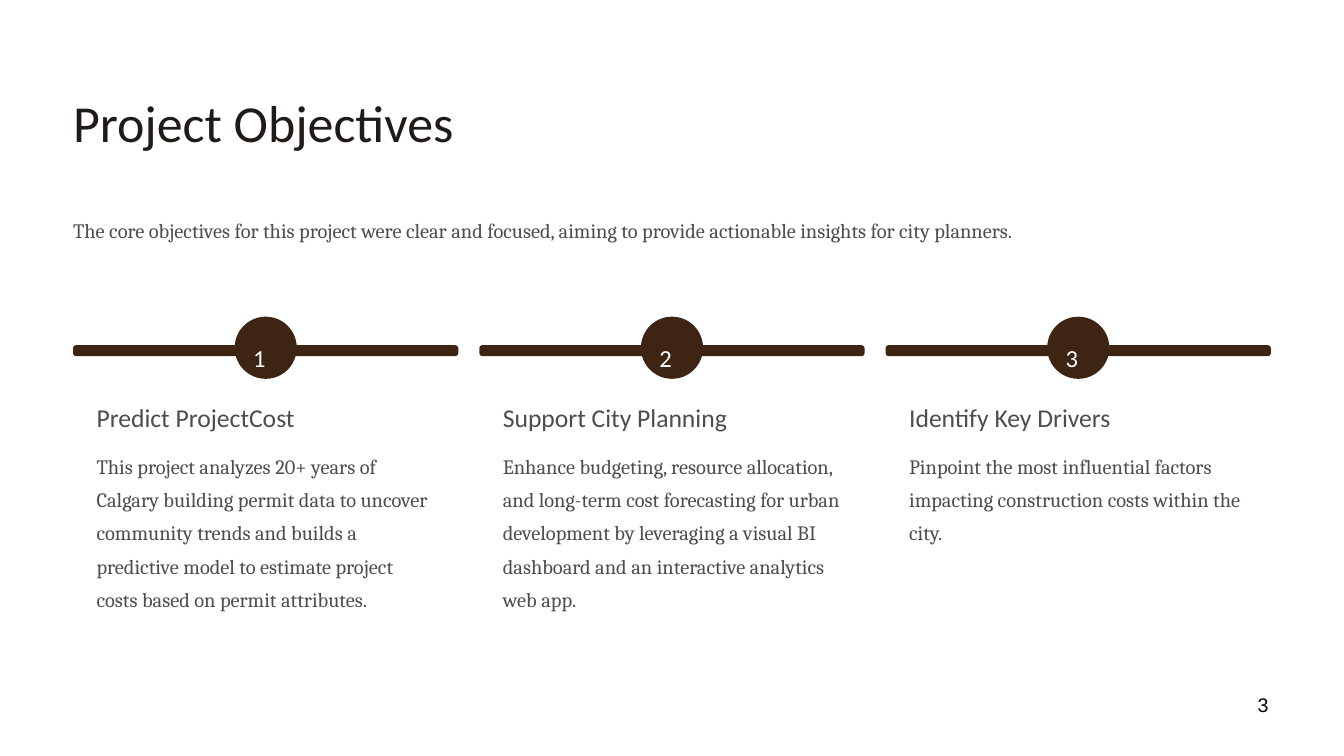
import pptx
import pptx.util
import pptx.dml.color
import pptx.enum.shapes
import pptx.enum.text

TITLE = "Project Objectives"
INTRO = ("The core objectives for this project were clear and focused, "
         "aiming to provide actionable insights for city planners.")
OBJECTIVES = [
    ("Predict ProjectCost",
     "This project analyzes 20+ years of Calgary building permit data to uncover "
     "community trends and builds a predictive model to estimate project costs "
     "based on permit attributes."),
    ("Support City Planning",
     "Enhance budgeting, resource allocation, and long-term cost forecasting for "
     "urban development by leveraging a visual BI dashboard and an interactive "
     "analytics web app."),
    ("Identify Key Drivers",
     "Pinpoint the most influential factors impacting construction costs within "
     "the city."),
]
PAGE_NUMBER = "3"

BROWN, DARK, GREY, WHITE, BLACK = "3E2513", "201B18", "504C49", "FFFFFF", "000000"
HEADING_FONT, BODY_FONT, NUMBER_FONT = "Calibri", "Cambria", "Arial"

WIDTH, HEIGHT = 16, 9
MARGIN = 0.87
CONTENT_WIDTH = WIDTH - 2 * MARGIN
GUTTER = 0.25
COLUMN_WIDTH = (CONTENT_WIDTH - GUTTER * (len(OBJECTIVES) - 1)) / len(OBJECTIVES)
PADDING = 0.28
TEXT_WIDTH = COLUMN_WIDTH - 2 * PADDING
BAR_TOP, BAR_HEIGHT = 4.11, 0.13
BADGE_TOP, BADGE_SIZE = 3.77, 0.74
DIGIT_WIDTH = 0.3

presentation = pptx.Presentation()
presentation.slide_width = pptx.util.Inches(WIDTH)
presentation.slide_height = pptx.util.Inches(HEIGHT)
slide = presentation.slides.add_slide(presentation.slide_layouts[6])


def color(value):
    return pptx.dml.color.RGBColor.from_string(value)


def box(left, top, width, height):
    return [pptx.util.Inches(length) for length in (left, top, width, height)]


def add_text(text, place, size, font, fill, spacing=None, inset=0, align="LEFT"):
    frame = slide.shapes.add_textbox(*box(*place)).text_frame
    frame.word_wrap = True
    frame.margin_left = frame.margin_right = pptx.util.Inches(inset)
    frame.margin_top = frame.margin_bottom = pptx.util.Inches(inset / 2)
    paragraph = frame.paragraphs[0]
    paragraph.text = text
    paragraph.alignment = pptx.enum.text.PP_ALIGN[align]
    if spacing:
        paragraph.line_spacing = pptx.util.Pt(spacing)
    paragraph.font.size = pptx.util.Pt(size)
    paragraph.font.name = font
    paragraph.font.color.rgb = color(fill)


def add_solid(kind, place):
    shape = slide.shapes.add_shape(pptx.enum.shapes.MSO_SHAPE[kind], *box(*place))
    shape.shadow.inherit = False
    shape.fill.solid()
    shape.fill.fore_color.rgb = color(BROWN)
    shape.line.fill.background()
    return shape


def add_objective(index, heading, body):
    left = MARGIN + index * (COLUMN_WIDTH + GUTTER)
    center = left + COLUMN_WIDTH / 2
    bar = add_solid("ROUNDED_RECTANGLE", (left, BAR_TOP, COLUMN_WIDTH, BAR_HEIGHT))
    bar.adjustments[0] = 0.28
    add_solid("OVAL", (center - BADGE_SIZE / 2, BADGE_TOP, BADGE_SIZE, BADGE_SIZE))
    add_text(str(index + 1), (center - DIGIT_WIDTH / 2, 3.96, DIGIT_WIDTH, 0.37),
             21, HEADING_FONT, WHITE, 34)
    add_text(heading, (left + PADDING, 4.77, TEXT_WIDTH, 0.39),
             22, HEADING_FONT, GREY, 27.5)
    add_text(body, (left + PADDING, 5.3, TEXT_WIDTH, 2.0),
             17.5, BODY_FONT, GREY, 28.5)


add_text(TITLE, (MARGIN, 1.05, 6.2, 0.78), 44.5, HEADING_FONT, DARK, 55.5)
add_text(INTRO, (MARGIN, 2.49, CONTENT_WIDTH, 0.4), 17.5, BODY_FONT, GREY, 28.5)
for index, (heading, body) in enumerate(OBJECTIVES):
    add_objective(index, heading, body)
add_text(PAGE_NUMBER, (11.47, 8.2, 3.73, 0.62), 16.8, NUMBER_FONT, BLACK,
         inset=0.1, align="RIGHT")

presentation.save("out.pptx")
